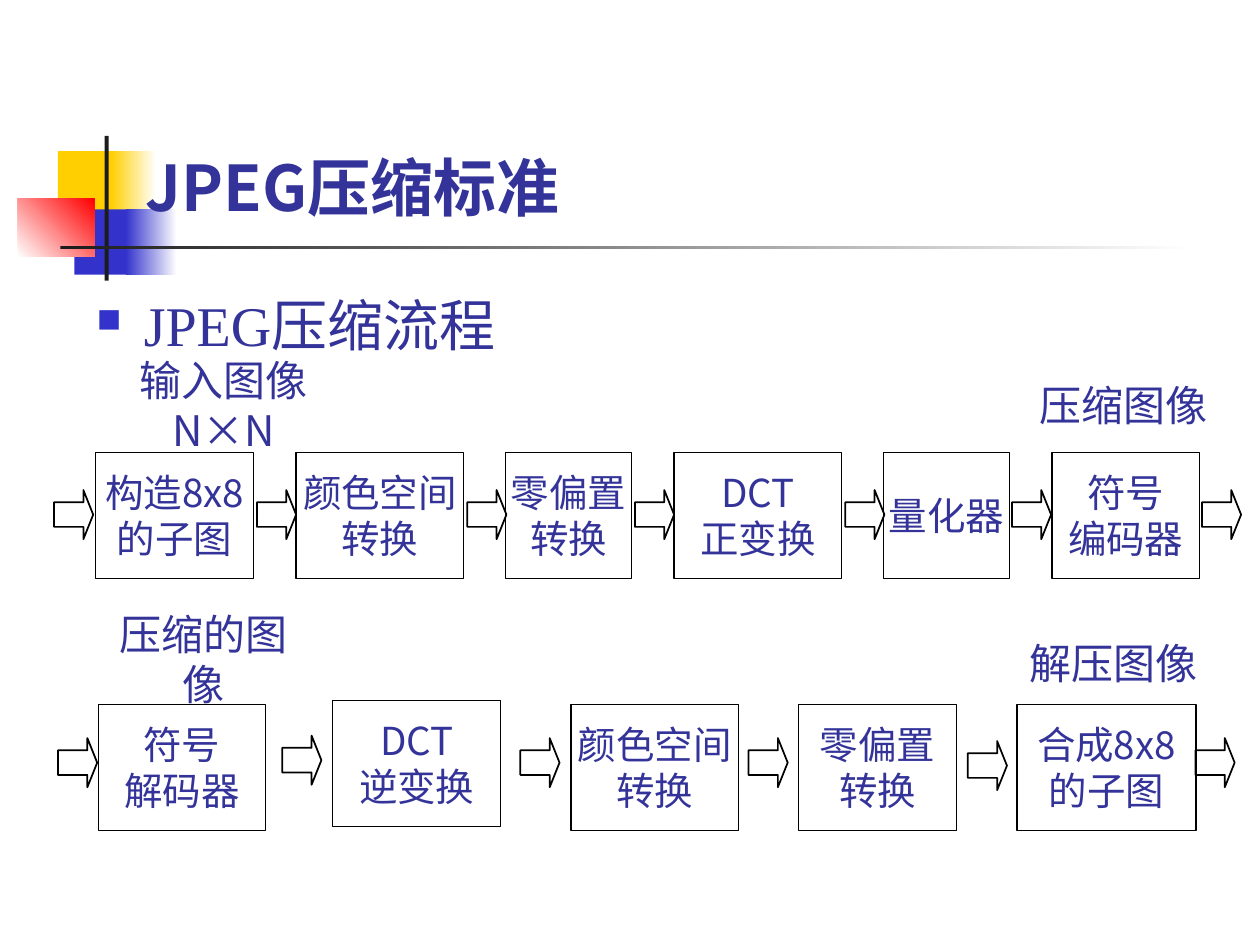
"""Build the JPEG compression workflow slide."""
import lxml.etree
import pptx
import pptx.dml.color
import pptx.enum.shapes
import pptx.enum.text
import pptx.oxml.ns
import pptx.util

Cm = pptx.util.Cm
Pt = pptx.util.Pt
SHAPES = pptx.enum.shapes.MSO_SHAPE
ALIGN = pptx.enum.text.PP_ALIGN
ANCHOR = pptx.enum.text.MSO_ANCHOR
qn = pptx.oxml.ns.qn

INK = "333399"
SANS = "Noto Sans CJK SC"
BOX_FONT = "Noto Sans CJK JP"

DECORATIONS = [
    ((1.17, 3.05, 1.22, 1.32), ["FFCF01"], 0),
    ((2.24, 3.05, 0.91, 1.32), ["FFCF01", "FFFFFF"], 0),
    ((1.5, 4.22, 1.17, 1.32), ["3333CC"], 0),
    ((2.54, 4.22, 1.02, 1.32), ["3333CC", "FFFFFF"], 0),
    ((0.36, 4.01, 1.55, 1.17), ["FFFFFF", "FF0000"], 45),
    ((2.11, 2.74, 0.08, 2.92), ["1C1C1C"], 0),
    ((1.22, 4.95, 22.86, 0.08), ["1C1C1C", "FFFFFF"], 0),
]

BOX_HEIGHT = 2.54
BOXES = [
    (1.93, 9.12, 3.18, "构造8x8\n的子图"),
    (5.97, 9.12, 3.38, "颜色空间\n转换"),
    (10.19, 9.12, 2.54, "零偏置\n转换"),
    (13.59, 9.12, 3.38, "DCT\n正变换"),
    (17.81, 9.12, 2.54, "量化器"),
    (21.21, 9.12, 2.97, "符号\n编码器"),
    (1.98, 14.2, 3.38, "符号\n解码器"),
    (6.71, 14.12, 3.38, "DCT\n逆变换"),
    (11.51, 14.2, 3.38, "颜色空间\n转换"),
    (16.1, 14.2, 3.18, "零偏置\n转换"),
    (20.5, 14.2, 3.61, "合成8x8\n的子图"),
]

ARROW_SIZE = (0.79, 0.99)
ARROWS = [(left, 9.88) for left in (1.09, 5.18, 9.42, 12.8, 17.04, 20.4, 24.23)] + [
    (1.17, 14.88), (5.69, 14.83), (10.49, 14.88),
    (15.09, 14.88), (19.51, 14.94), (24.1, 14.88),
]

LABEL_HEIGHT = 1.27
LABELS = [
    (1.57, 7.52, 5.87, "输入图像N×N", 0.6),
    (20.7, 7.52, 3.89, "压缩图像", 0),
    (1.75, 12.65, 4.72, "压缩的图像", 0),
    (20.5, 12.73, 3.89, "解压图像", 0),
]


def color(value):
    return pptx.dml.color.RGBColor.from_string(value)


def add_shape(slide, kind, place, line_width=0):
    shape = slide.shapes.add_shape(kind, *map(Cm, place))
    shape.shadow.inherit = False
    shape.fill.background()
    if line_width:
        shape.line.color.rgb = color("000000")
        shape.line.width = Pt(line_width)
    else:
        shape.line.fill.background()
    return shape


def write_text(shape, text, size, font, align, anchor, wrap=False, bold=False, east_asian=None):
    frame = shape.text_frame
    frame.text = text
    frame.word_wrap = wrap
    frame.vertical_anchor = anchor
    for paragraph in frame.paragraphs:
        paragraph.alignment = align
        for run in paragraph.runs:
            run.font.size = Pt(size)
            run.font.bold = bold
            run.font.name = font
            run.font.color.rgb = color(INK)
            typeface = lxml.etree.SubElement(run.font._element, qn("a:ea"))
            typeface.set("typeface", east_asian or font)
    return frame


def add_decoration(slide, place, colors, angle):
    shape = add_shape(slide, SHAPES.RECTANGLE, place)
    if len(colors) == 1:
        shape.fill.solid()
        shape.fill.fore_color.rgb = color(colors[0])
    else:
        shape.fill.gradient()
        shape.fill.gradient_angle = angle
        for stop, value in zip(shape.fill.gradient_stops, colors):
            stop.color.rgb = color(value)


def add_bullet(paragraph):
    properties = paragraph._p.get_or_add_pPr()
    properties.set("marL", str(Cm(0.95)))
    properties.set("indent", str(-Cm(0.95)))
    bullet_color = lxml.etree.SubElement(properties, qn("a:buClr"))
    lxml.etree.SubElement(bullet_color, qn("a:srgbClr")).set("val", "3333CC")
    lxml.etree.SubElement(properties, qn("a:buSzPct")).set("val", "60000")
    lxml.etree.SubElement(properties, qn("a:buChar")).set("char", "■")


def main():
    presentation = pptx.Presentation()
    presentation.slide_width = Cm(25.4)
    presentation.slide_height = Cm(19.05)
    slide = presentation.slides.add_slide(presentation.slide_layouts[6])

    for decoration in DECORATIONS:
        add_decoration(slide, *decoration)

    for left, top, width, text in BOXES:
        box = add_shape(slide, SHAPES.RECTANGLE, (left, top, width, BOX_HEIGHT), 0.75)
        write_text(box, text, 22, BOX_FONT, ALIGN.CENTER, ANCHOR.MIDDLE)

    for left, top, width, text, margin in LABELS:
        label = slide.shapes.add_textbox(*map(Cm, (left, top, width, LABEL_HEIGHT)))
        frame = write_text(label, text, 24, SANS, ALIGN.CENTER, ANCHOR.MIDDLE, wrap=margin > 0)
        if margin:
            frame.margin_left = frame.margin_right = Cm(margin)

    for position in ARROWS:
        arrow = add_shape(slide, SHAPES.RIGHT_ARROW, position + ARROW_SIZE, 1)
        arrow.adjustments[0] = 0.5
        arrow.adjustments[1] = 0.25

    title = slide.shapes.add_textbox(*map(Cm, (2.69, 2.72, 21.64, 1.93)))
    write_text(title, "JPEG压缩标准", 36, SANS, ALIGN.LEFT, ANCHOR.BOTTOM, wrap=True, bold=True)

    heading = slide.shapes.add_textbox(*map(Cm, (1.7, 5.33, 19.99, 2.21)))
    frame = write_text(heading, "JPEG压缩流程", 32, "Times New Roman", ALIGN.LEFT, ANCHOR.TOP,
                       wrap=True, east_asian=SANS)
    frame.paragraphs[0].line_spacing = 1.3
    add_bullet(frame.paragraphs[0])

    presentation.save("out.pptx")


if __name__ == "__main__":
    main()
